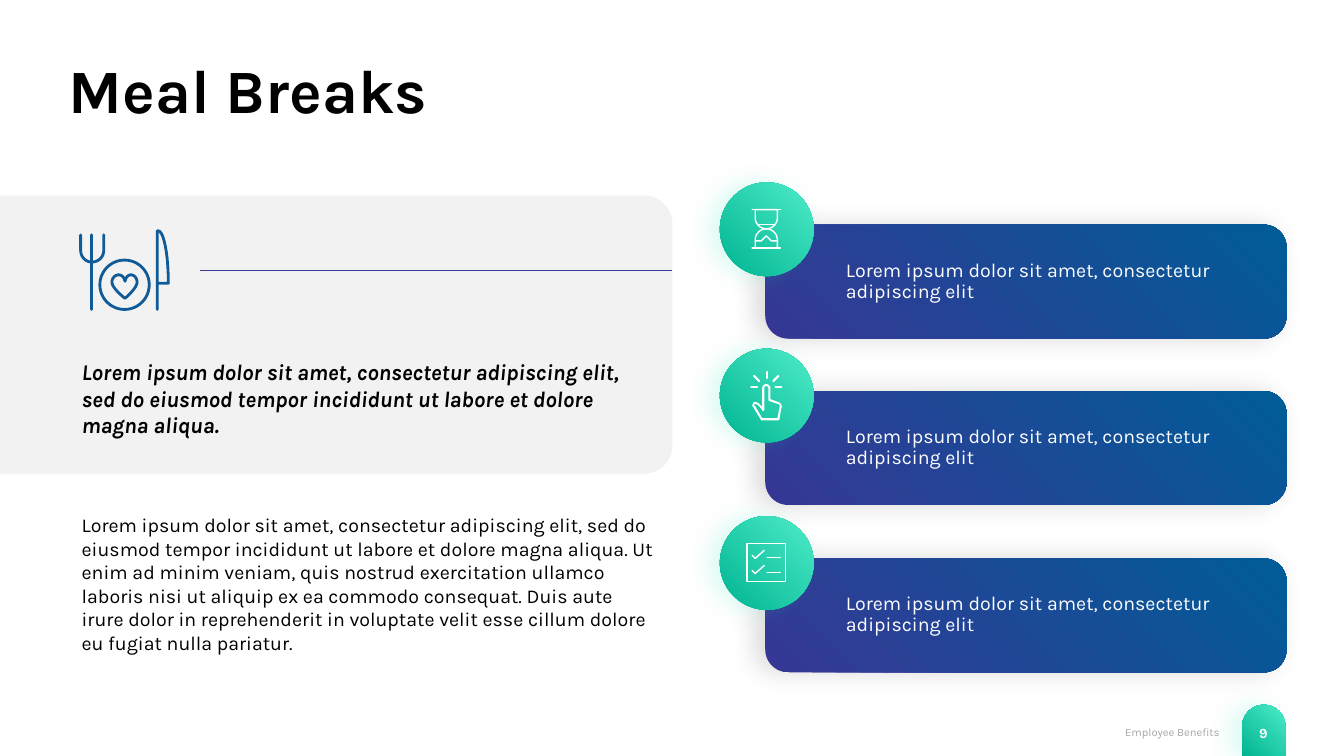
from dataclasses import dataclass

from lxml import etree
from pptx import Presentation
from pptx.dml.color import RGBColor
from pptx.enum.shapes import MSO_CONNECTOR, MSO_SHAPE
from pptx.enum.text import MSO_ANCHOR, MSO_AUTO_SIZE, PP_ALIGN
from pptx.oxml.ns import qn
from pptx.util import Pt

PX = 9144  # EMU in one px, 100 px to the inch
FONT = "Karla"
LINE = MSO_CONNECTOR.STRAIGHT
OVAL = MSO_SHAPE.OVAL
RECT = MSO_SHAPE.RECTANGLE
ROUND = MSO_SHAPE.ROUNDED_RECTANGLE
TAB = MSO_SHAPE.ROUND_2_SAME_RECTANGLE
TOP, MIDDLE = MSO_ANCHOR.TOP, MSO_ANCHOR.MIDDLE
LEFT, CENTER, RIGHT = PP_ALIGN.LEFT, PP_ALIGN.CENTER, PP_ALIGN.RIGHT
GROW, FIXED = MSO_AUTO_SIZE.SHAPE_TO_FIT_TEXT, MSO_AUTO_SIZE.NONE

BLACK, WHITE, GREY, PALE = "000000", "FFFFFF", "A6A6A6", "F2F2F2"
INK, RULE = "105B97", "363C95"

Box = tuple[int, int, int, int]


@dataclass(frozen=True)
class Glow:
    """A two-stop gradient and the shadow that goes with it."""
    start: str
    end: str
    shade: str
    alpha: int
    blur: int
    dist: int


@dataclass(frozen=True)
class Label:
    text: str
    box: Box
    size: int
    color: str = BLACK
    bold: bool = False
    slant: bool = False
    align: PP_ALIGN = LEFT
    anchor: MSO_ANCHOR = TOP
    space: float = 1.0


@dataclass(frozen=True)
class Icon:
    color: str
    width: float
    lines: tuple[Box, ...] = ()
    paths: tuple[str, ...] = ()
    solids: tuple[str, ...] = ()
    forms: tuple[tuple[MSO_SHAPE, Box], ...] = ()


MINT = Glow("00B492", "4EECC8", "4EECC8", 20, 16, 8)
BLUE = Glow("363795", "005C97", "000000", 15, 19, 7)

LOREM = "Lorem ipsum dolor sit amet, consectetur adipiscing elit"
LEAD = LOREM + ", sed do eiusmod tempor incididunt ut labore et dolore magna aliqua."
BODY = LEAD + (" Ut enim ad minim veniam, quis nostrud exercitation ullamco laboris nisi"
               " ut aliquip ex ea commodo consequat. Duis aute irure dolor in"
               " reprehenderit in voluptate velit esse cillum dolore eu fugiat nulla"
               " pariatur.")

PANEL = ("M 0,194 L 639,194 C 654,194 667,206 667,222 L 667,442"
         " C 667,458 654,470 639,470 L 0,470 Z")
MEAL = Icon(INK, 2, lines=((91, 233, 91, 307),), forms=((OVAL, (99, 258, 49, 49)),), paths=(
    "M 156,281 L 167,281 C 167,250 162,229 157,229 L 156,229 L 156,307",
    "M 80,233 L 80,248 C 80,255 85,260 91,260 C 98,260 103,255 103,248 L 103,233",
    "M 124,296 C 124,296 136,286 136,280 C 136,272 126,269 124,279"
    " C 122,269 111,272 111,280 C 111,286 124,296 124,296 Z",
))
GLASS = Icon(WHITE, 1, paths=(
    "M 771,216 C 771,222 766,227 760,227 C 754,227 749,222 749,216 L 749,208 L 771,208 Z",
    "M 771,238 C 771,232 766,227 760,227 C 754,227 749,232 749,238 L 749,246 L 771,246 Z",
    "M 749,239 L 755,239 L 760,234 L 765,239 L 771,239",
), lines=((746, 208, 774, 208), (746, 246, 774, 246), (752, 223, 768, 223)))
TOUCH = Icon(WHITE, 1.5, solids=(
    "M 772,417 L 755,417 L 747,404 C 746,403 746,401 747,400 C 747,399 748,399 749,399"
    " C 751,399 753,400 756,404 L 756,385 C 756,383 758,381 760,381"
    " C 762,381 764,383 764,385 L 764,396 L 772,399 C 775,400 776,403 775,405"
    " L 773,416 C 773,417 773,417 772,417 Z"
    " M 756,415 L 771,415 L 773,405 C 774,403 773,401 772,401 L 763,398"
    " C 763,398 762,397 762,397 L 762,385 C 762,384 761,383 760,383"
    " C 759,383 758,384 758,385 L 758,407 C 758,407 757,408 757,408"
    " C 757,408 756,408 756,407 C 752,401 750,401 749,401"
    " C 748,401 748,401 748,401 C 748,401 748,403 749,403 Z",
), lines=((769, 384, 775, 384), (767, 378, 772, 373), (761, 369, 761, 375),
          (748, 373, 753, 378), (745, 384, 751, 384)))
CHECK = Icon(WHITE, 1, forms=((RECT, (741, 539, 38, 38)),), paths=(
    "M 746,551 L 749,554 L 758,546",
    "M 746,566 L 749,569 L 758,561",
), lines=((761, 553, 774, 553), (761, 568, 774, 568)))


def paint(format, color: str) -> None:
    format.solid()
    format.fore_color.rgb = RGBColor.from_string(color)


def finish(shape, color: str, width: float):
    """Set the line, then shut off the theme shadow."""
    paint(shape.line.fill, color)
    shape.line.width = Pt(width)
    etree.SubElement(shape.element.spPr, qn("a:effectLst"))


def add_form(shapes, kind: MSO_SHAPE, box: Box):
    shape = shapes.add_shape(kind, *(v * PX for v in box))
    shape.shadow.inherit = False
    return shape


def add_glow(shapes, kind: MSO_SHAPE, box: Box, glow: Glow):
    shape = add_form(shapes, kind, box)
    shape.line.fill.background()
    shape.fill.gradient()
    shape.fill.gradient_angle = 45
    for stop, color, place in zip(shape.fill.gradient_stops, (glow.start, glow.end), (0, 1)):
        stop.color.rgb = RGBColor.from_string(color)
        stop.position = place
    outer = etree.SubElement(
        shape.element.spPr.find(qn("a:effectLst")), qn("a:outerShdw"),
        blurRad=str(Pt(glow.blur)), dist=str(Pt(glow.dist)), dir="10800000",
        algn="ctr", rotWithShape="0")
    tint = etree.SubElement(outer, qn("a:srgbClr"), val=glow.shade)
    etree.SubElement(tint, qn("a:alpha"), val=str(glow.alpha * 1000))
    return shape


def add_line(shapes, ends: Box, color: str, width: float):
    line = shapes.add_connector(LINE, *(v * PX for v in ends))
    finish(line, color, width)
    return line


def add_path(shapes, path: str):
    """Draw M, L, C and Z commands, with curves cut into short chords."""
    build, mode, last, bend = None, "", (0, 0), []
    for word in path.split():
        if word == "Z":
            build.add_line_segments([], close=True)
        elif word.isalpha():
            mode = word
        else:
            point = tuple(int(v) * PX for v in word.split(","))
            if mode == "C":
                bend.append(point)
                if len(bend) < 3:
                    continue
                ends, bend = (last, *bend), []
                build.add_line_segments([curve(ends, n / 10) for n in range(1, 11)], close=False)
            elif mode == "L":
                build.add_line_segments([point], close=False)
            elif build is None:
                build = shapes.build_freeform(*point, scale=1.0)
            else:
                build.move_to(*point)
            last = point
    return build.convert_to_shape()


def curve(ends, t: float) -> tuple[float, float]:
    """Give the point at t on a cubic curve."""
    parts = ((1 - t) ** 3, 3 * t * (1 - t) ** 2, 3 * t * t * (1 - t), t ** 3)
    x, y = (sum(k * p[axis] for k, p in zip(parts, ends)) for axis in (0, 1))
    return x, y


def add_solid(shapes, path: str, color: str) -> None:
    shape = add_path(shapes, path)
    paint(shape.fill, color)
    shape.line.fill.background()
    shape.shadow.inherit = False


def add_icon(slide, icon: Icon) -> None:
    shapes = slide.shapes.add_group_shape().shapes
    for path in icon.solids:
        add_solid(shapes, path, icon.color)
    drawn = [add_path(shapes, path) for path in icon.paths]
    drawn += [add_form(shapes, kind, box) for kind, box in icon.forms]
    for shape in drawn:
        shape.fill.background()
        paint(shape.line.fill, icon.color)
        shape.line.width = Pt(icon.width)
        shape.shadow.inherit = False
    drawn += [add_line(shapes, ends, icon.color, icon.width) for ends in icon.lines]
    for shape in drawn:
        shape.element.spPr.find(qn("a:ln")).set("cap", "rnd")


def write(shape, label: Label) -> None:
    shape.left, shape.top, shape.width, shape.height = (v * PX for v in label.box)
    frame = shape.text_frame
    frame.text = label.text
    frame.word_wrap = True
    frame.vertical_anchor = label.anchor
    first = frame.paragraphs[0]
    first.alignment, first.line_spacing = label.align, label.space
    font = first.runs[0].font
    font.name, font.size, font.bold, font.italic = FONT, Pt(label.size), label.bold, label.slant
    font.color.rgb = RGBColor.from_string(label.color)


def add_label(slide, label: Label) -> None:
    shape = slide.shapes.add_textbox(0, 0, PX, PX)
    frame = shape.text_frame
    frame.margin_left = frame.margin_right = frame.margin_top = frame.margin_bottom = 0
    frame.auto_size = GROW
    write(shape, label)


def main() -> None:
    deck = Presentation()
    deck.slide_width, deck.slide_height = 1333 * PX, 750 * PX
    slide = deck.slides.add_slide(deck.slide_layouts[5])
    shapes = slide.shapes

    write(shapes.title, Label("Meal Breaks", (58, 44, 1217, 97), 44, bold=True,
                              anchor=MIDDLE, space=0.9))
    shapes.title.text_frame.auto_size = FIXED
    tab = add_glow(shapes, TAB, (1232, 699, 43, 51), MINT)
    tab.adjustments[0] = 0.5
    add_label(slide, Label("9", (1235, 719, 36, 17), 10, WHITE, True,
                           align=CENTER, anchor=MIDDLE))
    add_label(slide, Label("Employee Benefits", (1074, 720, 136, 13), 8, GREY,
                           align=RIGHT, anchor=MIDDLE))

    add_label(slide, Label(BODY, (81, 509, 568, 141), 14))
    add_solid(shapes, PANEL, PALE)
    add_label(slide, Label(LEAD, (81, 355, 568, 81), 16, bold=True, slant=True))
    add_icon(slide, MEAL)
    add_line(shapes, (198, 268, 667, 268), RULE, 0.5)

    for row, icon in enumerate((GLASS, TOUCH, CHECK)):
        top = 223 + row * 331 // 2
        card = add_glow(shapes, ROUND, (759, top, 517, 113), BLUE)
        card.adjustments[0] = 0.2
        add_glow(shapes, OVAL, (714, top - 42, 93, 93), MINT)
        add_label(slide, Label(LOREM, (839, top + 35, 404, 42), 14, WHITE,
                               anchor=MIDDLE, space=0.9))
        add_icon(slide, icon)

    deck.save("out.pptx")


if __name__ == "__main__":
    main()
